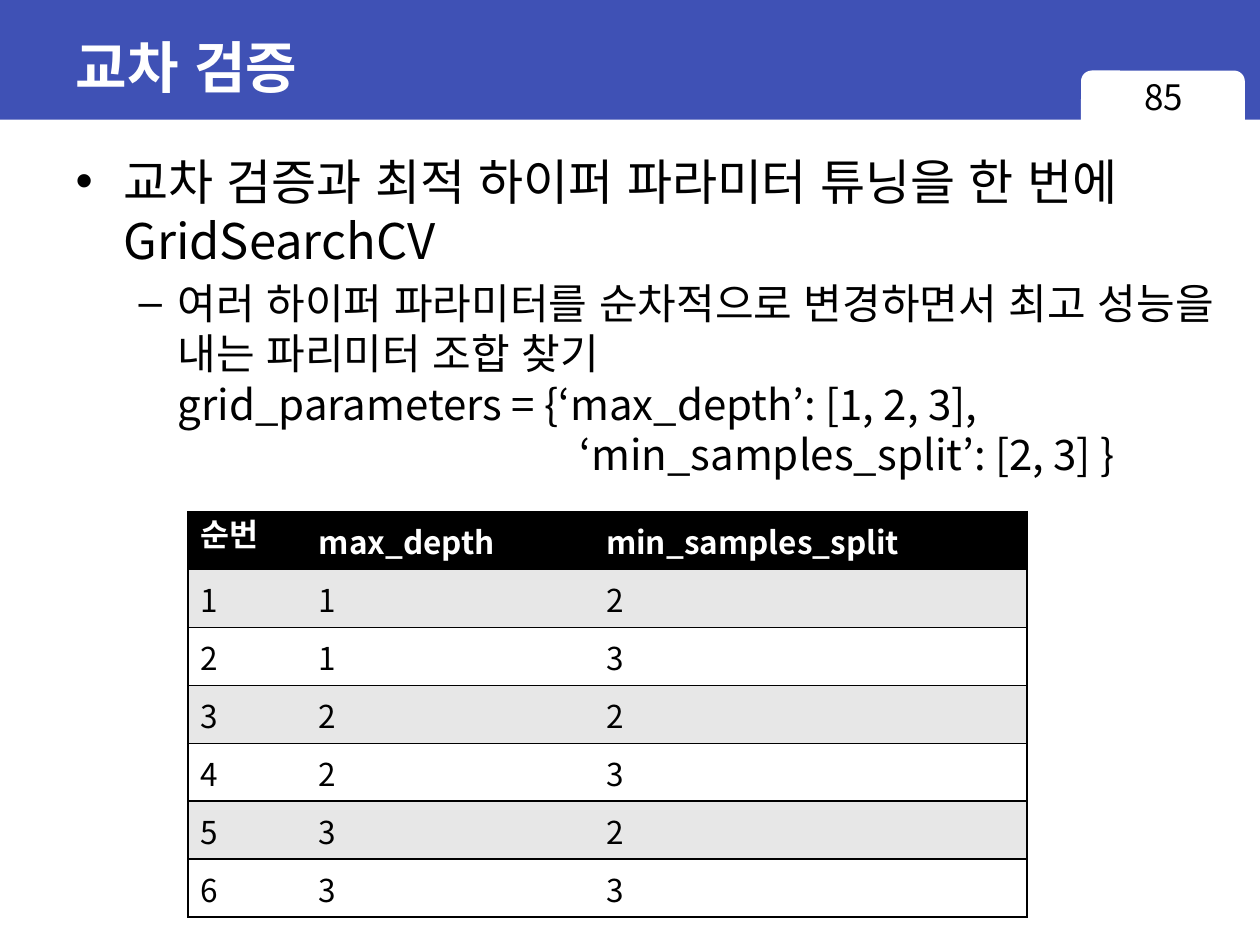
from copy import deepcopy
from dataclasses import dataclass

from pptx import Presentation
from pptx.dml.color import RGBColor as RGB
from pptx.enum.shapes import MSO_SHAPE as Shape
from pptx.enum.text import MSO_ANCHOR as Anchor, MSO_AUTO_SIZE as AutoSize, PP_ALIGN as Align
from pptx.oxml import parse_xml
from pptx.oxml.ns import nsdecls, qn
from pptx.util import Inches, Pt


@dataclass(frozen=True)
class Theme:
    indigo: str = "3F51B5"
    white: str = "FFFFFF"
    black: str = "000000"
    stripe: str = "E7E7E7"
    title_font: str = "Arial"
    text_font: str = "Noto Sans CJK KR"
    hangul_font: str = "Arial"
    title_size: int = 32
    topic_size: int = 28
    detail_size: int = 24
    page_size: int = 20
    table_size: int = 18


theme = Theme()


def write(paragraph, text, size, color=theme.black, bold=False, font=theme.text_font, align=Align.LEFT):
    paragraph.text = text
    paragraph.alignment = align
    for run in paragraph.runs:
        run.font.size = Pt(size)
        run.font.bold = bold
        run.font.name = font
        run.font.color.rgb = RGB.from_string(color)
        east_asian = parse_xml(f'<a:ea {nsdecls("a")} typeface="{theme.hangul_font}"/>')
        run.font._element.find(qn("a:latin")).addnext(east_asian)
    for line_break in paragraph._p.findall(qn("a:br")):
        line_break.insert(0, deepcopy(paragraph.runs[0].font._element))


prs = Presentation()
prs.slide_width, prs.slide_height = Inches(10), Inches(7.5)
slide = prs.slides.add_slide(prs.slide_layouts[1])
title, body = slide.placeholders

backdrop = [
    (Shape.RECTANGLE, 0, 0, 10, 0.95, theme.indigo),
    (Shape.ROUNDED_RECTANGLE, 8.58, 0.56, 1.3, 0.51, theme.white),
]
for depth, (preset, left, top, width, height, color) in enumerate(backdrop, start=2):
    panel = slide.shapes.add_shape(preset, Inches(left), Inches(top), Inches(width), Inches(height))
    panel.shadow.inherit = False
    panel.fill.solid()
    panel.fill.fore_color.rgb = RGB.from_string(color)
    panel.line.fill.background()
    slide.shapes.element.insert(depth, panel.element)

title.left, title.top, title.width, title.height = Inches(0.5), Inches(0.11), Inches(9), Inches(0.83)
title.text_frame.vertical_anchor = Anchor.MIDDLE
title.text_frame.auto_size = AutoSize.NONE
write(title.text_frame.paragraphs[0], "교차 검증", theme.title_size, theme.white, bold=True, font=theme.title_font)

body.left, body.top, body.width, body.height = Inches(0.5), Inches(1.15), Inches(9.38), Inches(6.14)
body.text_frame.auto_size = AutoSize.NONE
topic = "교차 검증과 최적 하이퍼 파라미터 튜닝을 한 번에\nGridSearchCV"
detail = (
    "여러 하이퍼 파라미터를 순차적으로 변경하면서 최고 성능을 내는 파리미터 조합 찾기\n"
    "grid_parameters = {‘max_depth’: [1, 2, 3],\n"
    "\t‘min_samples_split’: [2, 3] }"
)
outline = [
    (topic, theme.topic_size, "•", 0.38, 0.38, 0),
    (detail, theme.detail_size, "–", 0.81, 0.31, 4.8),
]
for level, (text, size, bullet, margin, hanging, space) in enumerate(outline):
    paragraph = body.text_frame.paragraphs[0] if level == 0 else body.text_frame.add_paragraph()
    paragraph.level = level
    paragraph.space_before = Pt(space)
    properties = paragraph._p.get_or_add_pPr()
    properties.set("marL", str(Inches(margin)))
    properties.set("indent", str(-Inches(hanging)))
    properties.append(parse_xml(f'<a:buFont {nsdecls("a")} typeface="Arial"/>'))
    properties.append(parse_xml(f'<a:buChar {nsdecls("a")} char="{bullet}"/>'))
    if "\t" in text:
        properties.append(parse_xml(
            f'<a:tabLst {nsdecls("a")}><a:tab pos="{Inches(4)}" algn="l"/></a:tabLst>'))
    write(paragraph, text, size)

page = slide.shapes.add_textbox(Inches(8.58), Inches(0.55), Inches(1.31), Inches(0.52))
page.text_frame.word_wrap = True
write(page.text_frame.paragraphs[0], "85", theme.page_size, align=Align.CENTER)

combinations = [(depth, split) for depth in (1, 2, 3) for split in (2, 3)]
records = [("순번", "max_depth", "min_samples_split")]
records += [(number, *pair) for number, pair in enumerate(combinations, start=1)]
column_widths = [0.94, 2.28, 3.44]
row_height = 0.46
grid = slide.shapes.add_table(
    len(records), len(column_widths), Inches(1.49), Inches(4.06),
    Inches(sum(column_widths)), Inches(row_height * len(records))).table
for column, width in zip(grid.columns, column_widths):
    column.width = Inches(width)

for r, record in enumerate(records):
    grid.rows[r].height = Inches(row_height)
    header = r == 0
    fill = theme.black if header else theme.stripe if r % 2 else theme.white
    for c, value in enumerate(record):
        cell = grid.cell(r, c)
        cell.fill.solid()
        cell.fill.fore_color.rgb = RGB.from_string(fill)
        write(cell.text_frame.paragraphs[0], str(value), theme.table_size,
              theme.white if header else theme.black, bold=header)
        visible = {"L": c == 0, "R": c == len(record) - 1, "T": True, "B": True}
        for position, (side, shown) in enumerate(visible.items()):
            paint = f'<a:solidFill><a:srgbClr val="{theme.black}"/></a:solidFill>' if shown else "<a:noFill/>"
            border = parse_xml(f'<a:ln{side} {nsdecls("a")} w="{Pt(1)}">{paint}</a:ln{side}>')
            cell._tc.get_or_add_tcPr().insert(position, border)

prs.save("out.pptx")
